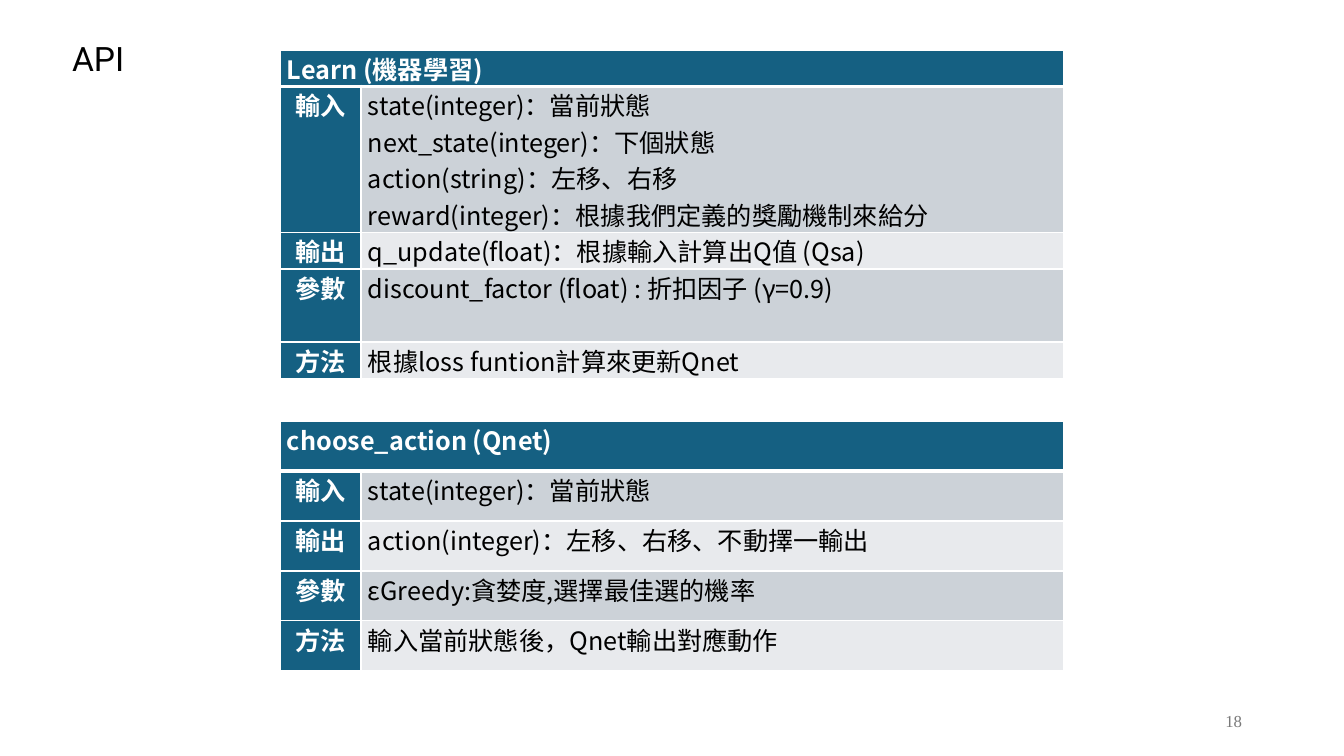
from pptx import Presentation
from pptx import util as u
from pptx.dml.color import RGBColor
from pptx.enum import text
from pptx.oxml import parse_xml
from pptx.oxml.ns import nsdecls, qn

TITLE = "API"
PAGE = "18"
TABLES = [
    {
        "top": 50,
        "heights": [36, 146, 36, 73, 36],
        "head": "Learn (機器學習)",
        "rows": [
            ("輸入", [
                "state(integer)：當前狀態",
                "next_state(integer)：下個狀態",
                "action(string)：左移、右移",
                "reward(integer)：根據我們定義的獎勵機制來給分",
            ]),
            ("輸出", ["q_update(float)：根據輸入計算出Q值 (Qsa)"]),
            ("參數", ["discount_factor (float) : 折扣因子 (γ=0.9)"]),
            ("方法", ["根據loss funtion計算來更新Qnet"]),
        ],
    },
    {
        "top": 421,
        "heights": [50] * 5,
        "head": "choose_action (Qnet)",
        "rows": [
            ("輸入", ["state(integer)：當前狀態"]),
            ("輸出", ["action(integer)：左移、右移、不動擇一輸出"]),
            ("參數", ["εGreedy:貪婪度,選擇最佳選的機率"]),
            ("方法", ["輸入當前狀態後，Qnet輸出對應動作"]),
        ],
    },
]

TABLE_LEFT = 280
COLUMNS = [81, 703]
TITLE_BOX = (62, 33, 133, 50)
PAGE_BOX = (950, 701, 302, 40)
TEAL, WHITE, BLACK, GRAY = "156082", "FFFFFF", "000000", "797979"
BANDS = ["CCD2D8", "E8EAED"]
ALIGN = text.PP_ALIGN
HEAD = {"size": 18, "name": "Noto Sans CJK SC", "color": WHITE, "bold": True}
BODY = HEAD | {"color": BLACK, "bold": False}
TITLE_FONT = {"size": 24, "name": "Roboto", "color": BLACK, "bold": False}
PAGE_FONT = {"size": 12, "name": "Times New Roman", "color": GRAY, "bold": False}
MARGINS = {"margin_left": 7, "margin_right": 7, "margin_top": 0, "margin_bottom": 0}


def px(n):
    return u.Emu(round(n * 914400 / 100.8))


def rgb(value):
    return RGBColor.from_string(value)


def write(tf, lines, font, align):
    for i, line in enumerate(lines):
        p = tf.add_paragraph() if i else tf.paragraphs[0]
        p.alignment = align
        r = p.add_run()
        r.text = line
        values = {"size": u.Pt(font["size"]), "name": font["name"], "bold": font["bold"]}
        for key, value in values.items():
            setattr(r.font, key, value)
        r.font.color.rgb = rgb(font["color"])
        r.font._element.find(qn("a:latin")).addnext(
            parse_xml(f'<a:ea {nsdecls("a")} typeface="{font["name"]}"/>'))


def style_cell(cell, fill, top=1, bottom=1):
    for key, value in MARGINS.items():
        setattr(cell, key, px(value))
    tcPr = cell._tc.get_or_add_tcPr()
    for side, width in {"L": 1, "R": 1, "T": top, "B": bottom}.items():
        tcPr.append(parse_xml(
            f'<a:ln{side} {nsdecls("a")} w="{u.Pt(width)}"><a:solidFill>'
            f'<a:srgbClr val="{WHITE}"/></a:solidFill></a:ln{side}>'))
    cell.fill.solid()
    cell.fill.fore_color.rgb = rgb(fill)


def add_api_table(slide, data):
    heights = data["heights"]
    box = (TABLE_LEFT, data["top"], sum(COLUMNS), sum(heights))
    table = slide.shapes.add_table(len(heights), len(COLUMNS), *map(px, box)).table
    for column, width in zip(table.columns, COLUMNS):
        column.width = px(width)
    for row, height in zip(table.rows, heights):
        row.height = px(height)
    for cell in table.rows[0].cells:
        style_cell(cell, TEAL, bottom=3)
    table.cell(0, 0).merge(table.cell(0, 1))
    write(table.cell(0, 0).text_frame, [data["head"]], HEAD, ALIGN.JUSTIFY)
    for i, (label, lines) in enumerate(data["rows"], 1):
        top = 3 if i == 1 else 1
        name, detail = table.rows[i].cells
        style_cell(name, TEAL, top)
        style_cell(detail, BANDS[(i - 1) % 2], top)
        write(name.text_frame, [label], HEAD, ALIGN.CENTER)
        write(detail.text_frame, lines, BODY, ALIGN.LEFT)


def place(sp, box):
    for key, value in zip(("left", "top", "width", "height"), box):
        setattr(sp, key, px(value))


def main():
    prs = Presentation()
    prs.slide_width, prs.slide_height = px(1344), px(756)
    slide = prs.slides.add_slide(prs.slide_layouts[5])

    title = slide.shapes.title
    place(title, TITLE_BOX)
    tf = title.text_frame
    tf.auto_size = text.MSO_AUTO_SIZE.NONE
    tf.vertical_anchor = text.MSO_ANCHOR.TOP
    write(tf, [TITLE], TITLE_FONT, ALIGN.LEFT)

    for data in TABLES:
        add_api_table(slide, data)

    tf = slide.shapes.add_textbox(*map(px, PAGE_BOX)).text_frame
    tf.word_wrap = True
    tf.vertical_anchor = text.MSO_ANCHOR.MIDDLE
    write(tf, [PAGE], PAGE_FONT, ALIGN.RIGHT)

    prs.save("out.pptx")


if __name__ == "__main__":
    main()
